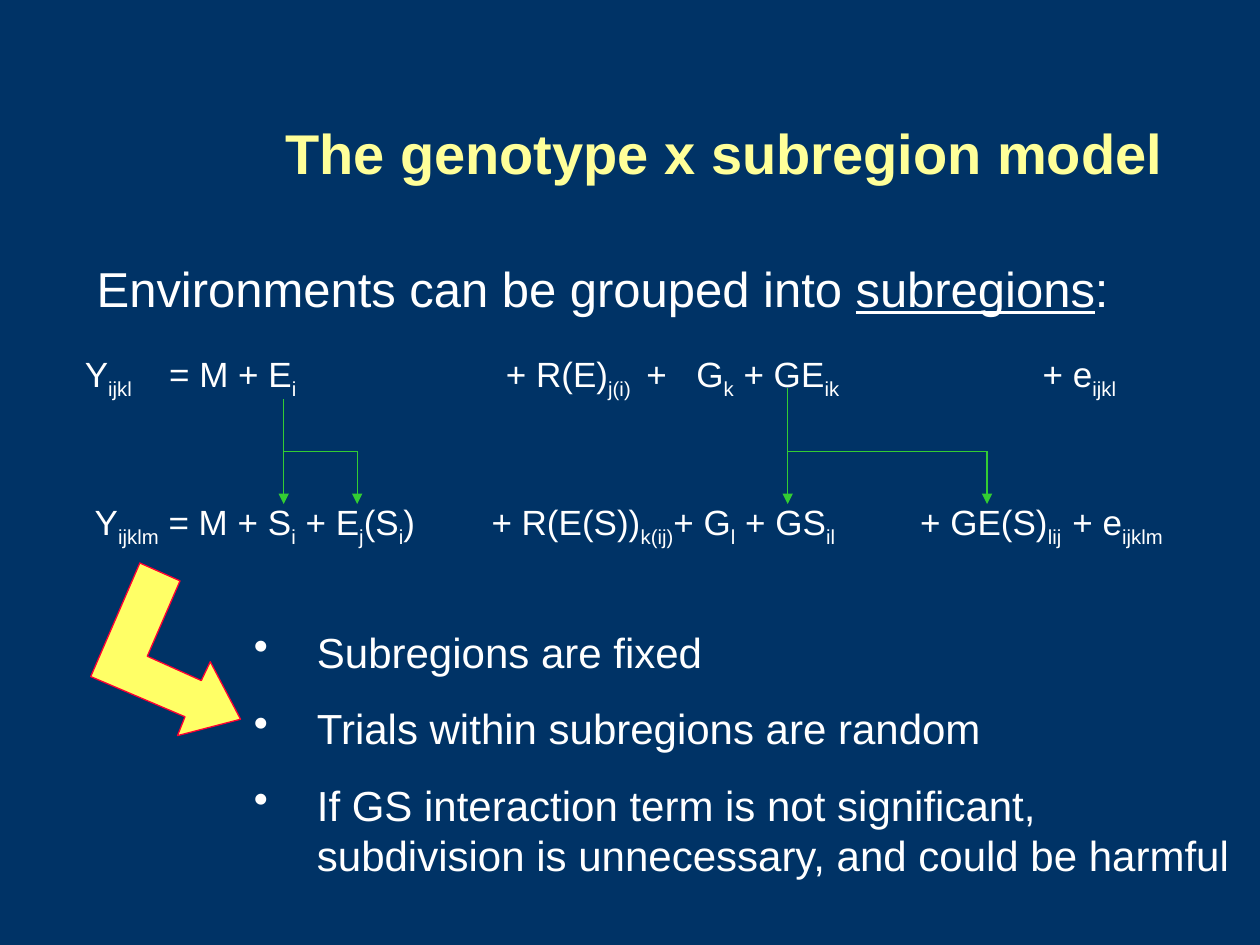
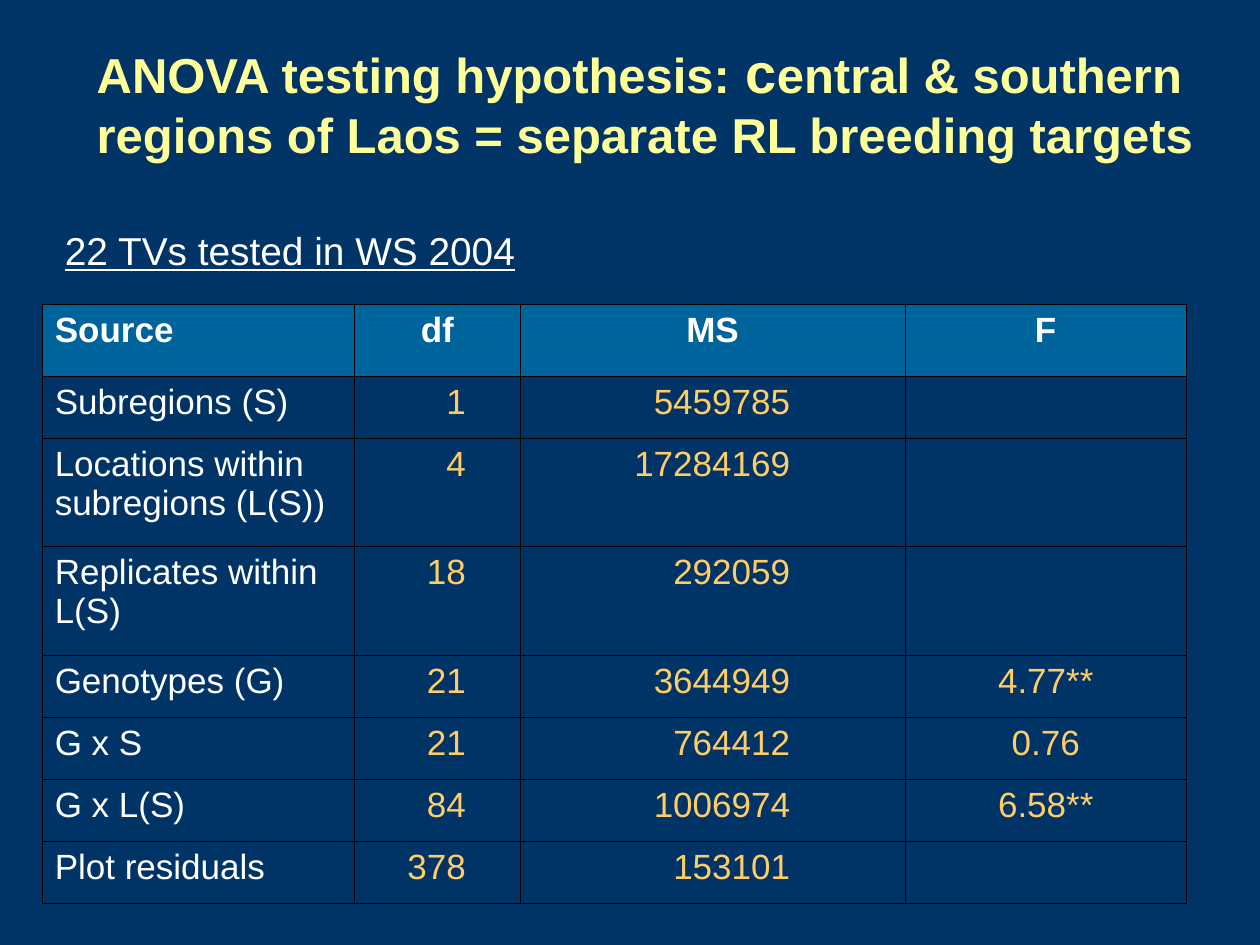
from lxml.etree import SubElement
from pptx import Presentation
from pptx.dml.color import RGBColor
from pptx.enum.shapes import MSO_CONNECTOR
from pptx.enum.text import MSO_ANCHOR, PP_ALIGN as ALIGN
from pptx.oxml.ns import qn
from pptx.util import Cm, Pt

NAVY, BLUE, WHITE, BLACK = "003366", "00649C", "FFFFFF", "000000"
TITLE_YELLOW, AMBER = "FFFF99", "FFCC66"
ARROW_YELLOW, ARROW_RED, GREEN = "FFFF66", "FF0033", "33CC33"


def rgb(hex_code):
    return RGBColor.from_string(hex_code)


def write(paragraph, text, size, colour, bold=False, marked=None):
    """Write text into the paragraph; pieces between bars get the marked format."""
    for number, piece in enumerate(text.split("|")):
        if not piece:
            continue
        run = paragraph.add_run()
        run.text = piece
        run.font.color.rgb = rgb(colour)
        style = {"name": "Arial", "size": Pt(size), "bold": bold}
        if number % 2:
            style.update(marked)
        for key, value in style.items():
            if key == "baseline":
                run.font._element.set(key, value)
            else:
                setattr(run.font, key, value)


prs = Presentation()
prs.slide_width, prs.slide_height = Cm(25.4), Cm(19.05)
background = prs.slide_master.background.fill
background.solid()
background.fore_color.rgb = rgb(NAVY)
blank = prs.slide_layouts[6]
model = prs.slides.add_slide(blank)
anova = prs.slides.add_slide(blank)

# Text on both slides
title = {"colour": TITLE_YELLOW, "bold": True}
subscript = {"baseline": "-25000"}
underline = {"underline": True}
texts = [
    {"slide": model, "box": (5.5, 1.48, 18.63, 3.18), "size": 32, "format": title,
     "lines": ["The genotype x subregion model"]},
    {"slide": model, "box": (1.7, 5.08, 23.7, 1.45), "size": 28, "before": 17.5,
     "format": {"marked": underline},
     "lines": ["Environments can be grouped into |subregions|:"]},
    {"slide": model, "box": (1.46, 6.98, 23, 1.22), "size": 20, "before": 12.5,
     "format": {"marked": subscript}, "tabs": [1.7, 8.49, 11.32, 12.33, 19.31],
     "lines": ["Y|ijkl|\t= M + E|i|\t+ R(E)|j(i)|\t+\tG|k| + GE|ik|\t+ e|ijkl|"]},
    {"slide": model, "box": (1.66, 9.96, 23, 1.22), "size": 20, "before": 12.5,
     "format": {"marked": subscript}, "tabs": [8, 16.64, 19.71],
     "lines": ["Y|ijklm| = M + S|i| + E|j|(S|i|)\t+ R(E(S))|k(ij)|+ G|l| + GS|il|"
               "\t+ GE(S)|lij|\t+ e|ijklm|"]},
    {"slide": model, "box": (4.87, 12.5, 20.53, 5.38), "size": 24, "before": 15,
     "bullet": "•",
     "lines": ["Subregions are fixed", "Trials within subregions are random",
               "If GS interaction term is not significant, subdivision is "
               "unnecessary, and could be harmful"]},
    {"slide": anova, "box": (1.7, 0.43, 23.3, 3.18), "size": 28,
     "format": {**title, "marked": {"size": Pt(32)}},
     "lines": ["ANOVA testing hypothesis:| c|entral & southern regions of Laos "
               "= separate RL breeding targets"]},
    {"slide": anova, "box": (1.06, 4.45, 10.6, 1.27), "size": 22.2, "before": 6,
     "format": {"marked": underline}, "lines": ["|22 TVs tested in WS 2004|"]},
]
for text in texts:
    frame = text["slide"].shapes.add_textbox(*map(Cm, text["box"])).text_frame
    frame.word_wrap = True
    if "before" not in text:
        frame.vertical_anchor = MSO_ANCHOR.MIDDLE
    for number, line in enumerate(text["lines"]):
        paragraph = frame.add_paragraph() if number else frame.paragraphs[0]
        paragraph.space_before = Pt(text.get("before", 0))
        write(paragraph, line, text["size"],
              **{"colour": WHITE, **text.get("format", {})})
        properties = paragraph._p.get_or_add_pPr()
        if "bullet" in text:
            properties.set("marL", str(Cm(1.27)))
            properties.set("indent", str(Cm(-1.27)))
            SubElement(properties, qn("a:buChar"), char=text["bullet"])
        if "tabs" in text:
            stops = SubElement(properties, qn("a:tabLst"))
            for stop in text["tabs"]:
                SubElement(stops, qn("a:tab"), pos=str(Cm(stop)), algn="l")

# Each term of the upper equation splits into two terms of the lower one
fork_y, tip_y = 9.1, 10.16
for stem_x, branch_x, top_y in [(5.72, 7.2, 8.05), (15.88, 19.9, 7.83)]:
    for start_x, start_y, end_x, end_y in [
        (stem_x, top_y, stem_x, fork_y),
        (stem_x, fork_y, branch_x, fork_y),
        (stem_x, fork_y, stem_x, tip_y),
        (branch_x, fork_y, branch_x, tip_y),
    ]:
        link = model.shapes.add_connector(
            MSO_CONNECTOR.STRAIGHT, *map(Cm, (start_x, start_y, end_x, end_y)))
        link.line.color.rgb = rgb(GREEN)
        link.line.width = Pt(0.75)
        if end_y == tip_y:
            SubElement(link.line._get_or_add_ln(), qn("a:tailEnd"), type="triangle")
        SubElement(link._element.spPr, qn("a:effectLst"))

# Bent arrow from the lower equation to its consequences
corners = [(Cm(x), Cm(y)) for x, y in [
    (3.63, 11.71), (2.97, 13.23), (4.06, 13.72), (4.24, 13.34), (4.85, 14.5),
    (3.58, 14.83), (3.73, 14.45), (1.83, 13.64), (2.82, 11.35)]]
outline = model.shapes.build_freeform(*corners[0])
outline.add_line_segments(corners[1:], close=True)
bent_arrow = outline.convert_to_shape()
bent_arrow.shadow.inherit = False
bent_arrow.fill.solid()
bent_arrow.fill.fore_color.rgb = rgb(ARROW_YELLOW)
bent_arrow.line.color.rgb = rgb(ARROW_RED)
bent_arrow.line.width = Pt(0.75)

# Analysis of variance
anova_rows = [
    ("Source", "df", "MS", "F"),
    ("Subregions (S)", "1", "5459785", ""),
    ("Locations within subregions (L(S))", "4", "17284169", ""),
    ("Replicates within L(S)", "18", "292059", ""),
    ("Genotypes (G)", "21", "3644949", "4.77**"),
    ("G x S", "21", "764412", "0.76"),
    ("G x L(S)", "84", "1006974", "6.58**"),
    ("Plot residuals", "378", "153101", ""),
]
widths = [6.3, 3.33, 7.77, 5.66]
heights = [1.44, 1.25, 2.19, 2.19, 1.25, 1.25, 1.25, 1.25]
alignments = [ALIGN.LEFT, ALIGN.RIGHT, ALIGN.RIGHT, ALIGN.CENTER]
right_margins = [0.25, 1.09, 2.32, 0.25]

table = anova.shapes.add_table(
    len(anova_rows), len(widths), Cm(0.85), Cm(6.14),
    Cm(sum(widths)), Cm(sum(heights))).table
table.horz_banding = False
for column, width in zip(table.columns, widths):
    column.width = Cm(width)
for row, height in zip(table.rows, heights):
    row.height = Cm(height)

for r, values in enumerate(anova_rows):
    for c, value in enumerate(values):
        cell = table.cell(r, c)
        paragraph = cell.text_frame.paragraphs[0]
        is_header = r == 0
        if is_header:
            paragraph.alignment = ALIGN.CENTER if c else ALIGN.LEFT
        else:
            paragraph.alignment = alignments[c]
            cell.margin_right = Cm(right_margins[c])
        write(paragraph, value, 20, AMBER if c and not is_header else WHITE,
              bold=is_header)
        cell_properties = cell._tc.get_or_add_tcPr()
        for side in ("a:lnL", "a:lnR", "a:lnT", "a:lnB"):
            border = SubElement(cell_properties, qn(side), w=str(Pt(0.45)))
            SubElement(SubElement(border, qn("a:solidFill")),
                       qn("a:srgbClr"), val=BLACK)
        if is_header:
            cell.fill.solid()
            cell.fill.fore_color.rgb = rgb(BLUE)
        else:
            cell.fill.background()

prs.save("out.pptx")
